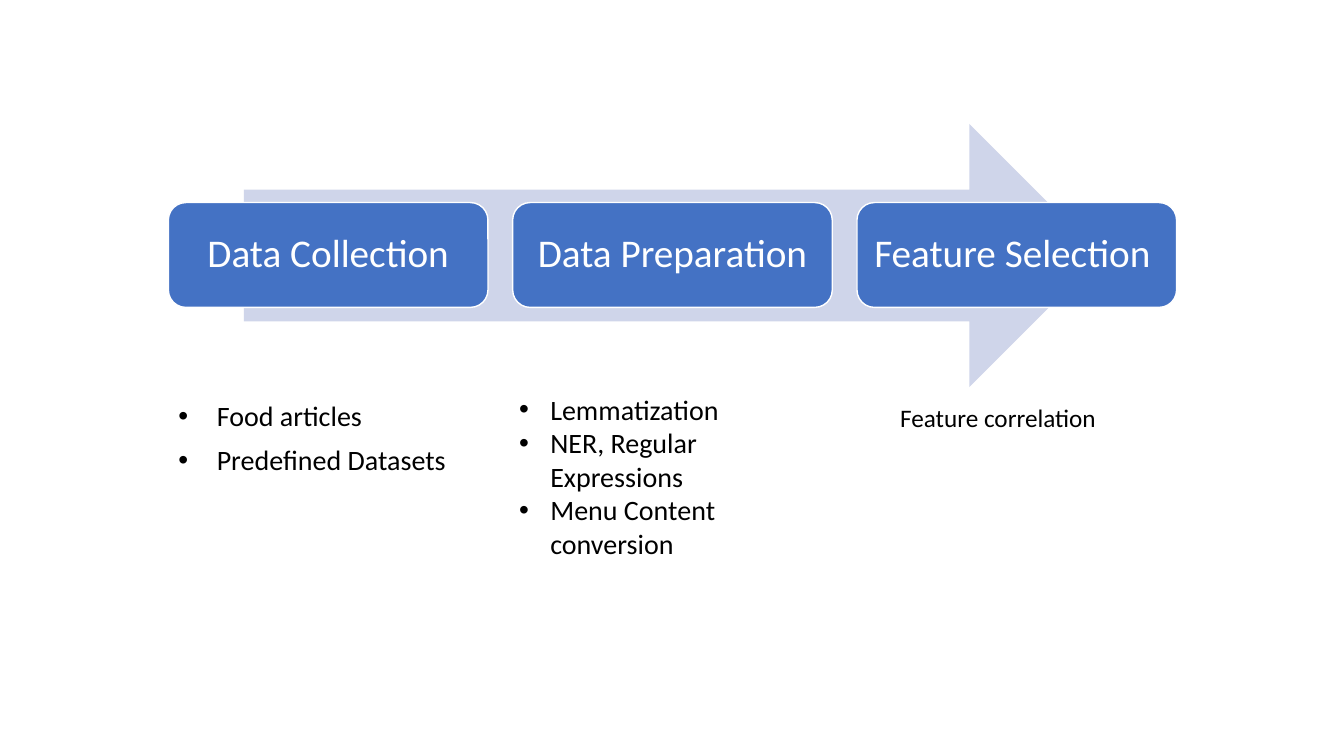
from dataclasses import dataclass

from lxml.etree import SubElement
from pptx import Presentation
from pptx.dml.color import RGBColor as Color
from pptx.enum.shapes import MSO_SHAPE as Shape
from pptx.enum.text import MSO_ANCHOR as Anchor, MSO_AUTO_SIZE as Auto, PP_ALIGN as Align
from pptx.oxml.ns import qn
from pptx.util import Inches, Pt

STEPS = ["Data Collection", "Data Preparation", "Feature Selection "]
SOURCES = ["Food articles", "Predefined Datasets"]
METHODS = ["Lemmatization", "NER, Regular Expressions", "Menu Content conversion"]
RESULT = ["Feature correlation"]


@dataclass(frozen=True)
class Theme:
    font: str = "Calibri"
    arrow: Color = Color.from_string("CFD5EA")
    step: Color = Color.from_string("4472C4")
    white: Color = Color.from_string("FFFFFF")
    black: Color = Color.from_string("000000")
    head: int = 28
    body: int = 20
    note: int = 18


THEME = Theme()
ARROW = (2.42, 1.23, 8.5, 2.61)
LEFT, TOP, WIDE, HIGH = 1.67, 2.01, 3.17, 1.04
PITCH = 3.415
INSET = 0.12


def box(*sizes):
    return [Inches(size) for size in sizes]


def style(par, size, color):
    for run in par.runs:
        run.font.name = THEME.font
        run.font.size = Pt(size)
        run.font.color.rgb = color


def draw(slide, kind, place, fill):
    shape = slide.shapes.add_shape(kind, *box(*place))
    shape.shadow.inherit = False
    shape.fill.solid()
    shape.fill.fore_color.rgb = fill
    shape.line.fill.background()
    return shape


def add_step(slide, index, label):
    shape = draw(slide, Shape.ROUNDED_RECTANGLE,
                 (LEFT + index * PITCH, TOP, WIDE, HIGH), THEME.step)
    shape.line.color.rgb = THEME.white
    shape.line.width = Pt(1)
    frame = shape.text_frame
    frame.word_wrap = True
    frame.vertical_anchor = Anchor.MIDDLE
    frame.margin_left = frame.margin_right = Inches(INSET)
    frame.margin_top = frame.margin_bottom = Inches(INSET)
    frame.text = label
    par = frame.paragraphs[0]
    par.alignment = Align.CENTER
    par.line_spacing = 0.9
    style(par, THEME.head, THEME.white)


def write(shape, lines, size, indent=0, spacing=1.0, before=0):
    """Fill a text shape with left-aligned lines, bulleted if indented."""
    frame = shape.text_frame
    frame.word_wrap = True
    frame.auto_size = Auto.NONE
    frame.vertical_anchor = Anchor.TOP
    frame.text = "\n".join(lines)
    for par in frame.paragraphs:
        par.alignment = Align.LEFT
        par.line_spacing = spacing
        par.space_before = Pt(before)
        style(par, size, THEME.black)
        if indent:
            props = par._p.get_or_add_pPr()
            props.set("marL", str(Inches(indent)))
            props.set("indent", str(-Inches(indent)))
            SubElement(props, qn("a:buFont"), typeface="Arial")
            SubElement(props, qn("a:buChar"), char="•")


def main():
    deck = Presentation()
    deck.slide_width, deck.slide_height = box(13.33, 7.5)
    slide = deck.slides.add_slide(deck.slide_layouts[0])
    title = slide.shapes.title.element
    title.getparent().remove(title)

    draw(slide, Shape.RIGHT_ARROW, ARROW, THEME.arrow)
    for index, label in enumerate(STEPS):
        add_step(slide, index, label)

    sources = slide.placeholders[1]
    sources.left, sources.top, sources.width, sources.height = box(LEFT, 3.94, 3.39, 3.03)
    write(sources, SOURCES, THEME.body, indent=0.38, spacing=0.9, before=10)
    methods = slide.shapes.add_textbox(*box(5.05, 3.84, 3.23, 2.09))
    write(methods, METHODS, THEME.body, indent=0.31)
    result = slide.shapes.add_textbox(*box(8.83, 3.94, 3.39, 0.4))
    write(result, RESULT, THEME.note)

    deck.save("out.pptx")


if __name__ == "__main__":
    main()
